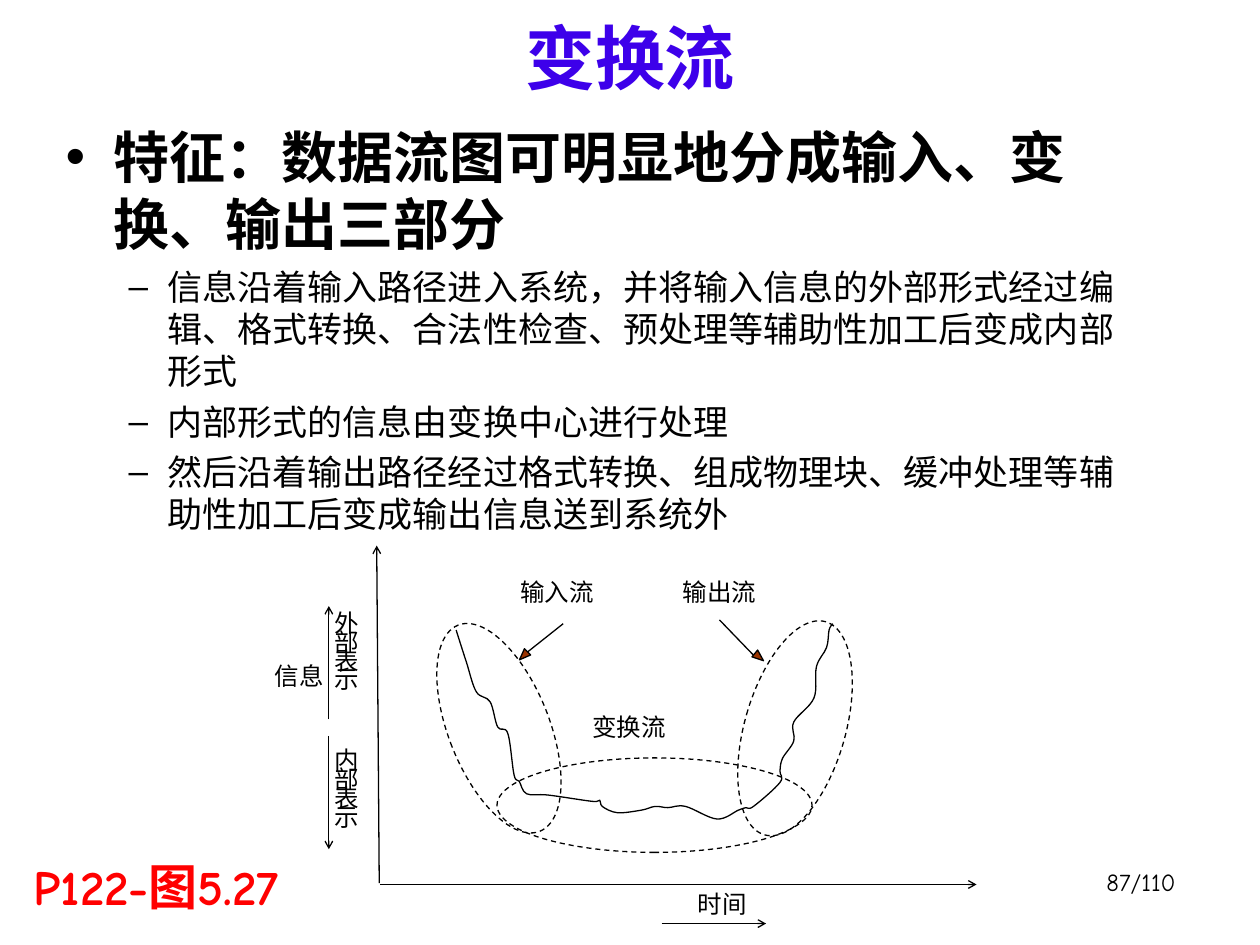
from dataclasses import dataclass

from lxml import etree
from pptx import Presentation
from pptx import util as u
from pptx.dml.color import RGBColor
from pptx.enum import dml, shapes, text
from pptx.oxml import ns

BLACK = RGBColor(0x00, 0x00, 0x00)
RED = RGBColor(0xFF, 0x00, 0x00)
VIOLET = RGBColor(0x3D, 0x00, 0xEA)
BROWN = RGBColor(0x99, 0x33, 0x00)
COMIC, TIMES = "Comic Neue", "Times New Roman"
ALIGN = text.PP_ALIGN


@dataclass(frozen=True)
class Label:
    lines: str
    frame: tuple[float, float, float, float]
    align: ALIGN = ALIGN.JUSTIFY
    spacing: float = 1.0
    size: float = 14
    font: str = TIMES
    color: RGBColor = BLACK
    bold: bool = False


@dataclass(frozen=True)
class Stroke:
    start: tuple[float, float]
    end: tuple[float, float]
    arrow: bool = True


@dataclass(frozen=True)
class Outline:
    kind: shapes.MSO_SHAPE
    frame: tuple[float, float, float, float]
    rotation: float
    fill: RGBColor | None = None


@dataclass(frozen=True)
class Item:
    words: str
    level: int
    size: float
    bold: bool
    before: float
    margin: float
    indent: float


TIGHT = 0.64
LABELS = [
    Label("P122-图5.27", (0.17, 6.75, 5.92, 0.75), ALIGN.LEFT, 1.0, 28, COMIC, RED, True),
    Label("87/110", (7.35, 6.83, 2.08, 0.5), ALIGN.RIGHT, font=COMIC),
    Label("外\n部\n表\n示", (2.56, 4.85, 0.61, 1.24), spacing=TIGHT),
    Label("内\n部\n表\n示", (2.56, 5.94, 0.61, 0.97), spacing=TIGHT),
    Label("信息", (2.07, 5.27, 0.61, 0.97), ALIGN.CENTER, TIGHT),
    Label("时间", (5.44, 7.08, 0.9, 0.42), spacing=TIGHT),
    Label("变换流", (4.6, 5.6, 1.09, 0.57)),
    Label("输入流", (4.03, 4.53, 1.09, 0.57)),
    Label("输出流", (5.32, 4.53, 1.09, 0.57)),
]
STROKES = [
    Stroke((3.02, 7.02), (7.75, 7.02)),
    Stroke((3.01, 7.01), (2.99, 4.33)),
    Stroke((2.61, 5.71), (2.61, 4.81)),
    Stroke((2.61, 5.84), (2.61, 6.74)),
    Stroke((5.25, 7.33), (6.08, 7.33)),
    Stroke((4.47, 4.95), (4.18, 5.18), False),
    Stroke((5.71, 4.92), (5.99, 5.21), False),
]
OVAL, TRIANGLE = shapes.MSO_SHAPE.OVAL, shapes.MSO_SHAPE.ISOSCELES_TRIANGLE
OUTLINES = [
    Outline(OVAL, (4.82, 5.14, 0.75, 2.5), 270),
    Outline(OVAL, (3.56, 4.9, 0.8, 1.76), 338.4),
    Outline(OVAL, (5.91, 4.9, 0.8, 1.76), 16),
    Outline(TRIANGLE, (4.12, 5.16, 0.07, 0.09), 225.2, BROWN),
    Outline(TRIANGLE, (5.99, 5.17, 0.07, 0.09), 129.9, BROWN),
]
FLOW = [
    (3.62, 5), (3.7, 5.25), (3.78, 5.49), (3.89, 5.57), (3.95, 5.77), (4.03, 5.82),
    (4.08, 6.15), (4.12, 6.2), (4.18, 6.3), (4.35, 6.31), (4.7, 6.36), (4.76, 6.35),
    (4.78, 6.4), (4.9, 6.45), (5.09, 6.43), (5.2, 6.4), (5.3, 6.41), (5.44, 6.4),
    (5.69, 6.5), (5.86, 6.43), (5.92, 6.41), (5.98, 6.4), (6.19, 6.21), (6.19, 6.12),
    (6.21, 6.02), (6.3, 5.88), (6.3, 5.73), (6.46, 5.54), (6.48, 5.29), (6.56, 5.14),
    (6.58, 5), (6.61, 4.95),
]
UNITS_PER_INCH = 1000
ITEMS = [
    Item("特征：数据流图可明显地分成输入、变换、输出三部分", 0, 32, True, 0, 0.38, -0.38),
    *(Item(words, 1, 20, False, 5, 0.81, -0.31) for words in (
        "信息沿着输入路径进入系统，并将输入信息的外部形式经过编辑、格式转换、"
        "合法性检查、预处理等辅助性加工后变成内部形式",
        "内部形式的信息由变换中心进行处理",
        "然后沿着输出路径经过格式转换、组成物理块、缓冲处理等"
        "辅助性加工后变成输出信息送到系统外",
    )),
]


def place(box, frame: tuple[float, float, float, float]) -> None:
    box.left, box.top, box.width, box.height = map(u.Inches, frame)


def add_run(para, words: str, size: float, font: str, color: RGBColor, bold: bool) -> None:
    span = para.add_run()
    span.text = words
    span.font.size = u.Pt(size)
    span.font.name = font
    span.font.bold = bold
    span.font.color.rgb = color


def ink(line) -> None:
    line.color.rgb = BLACK
    line.width = u.Pt(0.75)


def fill_title(title) -> None:
    place(title, (0.5, 0, 9, 0.83))
    frame = title.text_frame
    frame.auto_size = text.MSO_AUTO_SIZE.NONE
    frame.vertical_anchor = text.MSO_ANCHOR.BOTTOM
    para = frame.paragraphs[0]
    para.alignment = ALIGN.CENTER
    add_run(para, "变换流", 40, COMIC, VIOLET, True)


def fill_body(body) -> None:
    place(body, (0.42, 0.92, 8.67, 5.5))
    frame = body.text_frame
    frame.auto_size = text.MSO_AUTO_SIZE.NONE
    for index, item in enumerate(ITEMS):
        para = frame.add_paragraph() if index else frame.paragraphs[0]
        para.level = item.level
        para.space_before = u.Pt(item.before)
        properties = para._p.get_or_add_pPr()
        properties.set("marL", str(u.Inches(item.margin)))
        properties.set("indent", str(u.Inches(item.indent)))
        properties.set("hangingPunct", "0")
        add_run(para, item.words, item.size, COMIC, BLACK, item.bold)


def add_label(page, label: Label) -> None:
    frame = page.shapes.add_textbox(*map(u.Inches, label.frame)).text_frame
    frame.word_wrap = True
    for index, words in enumerate(label.lines.split("\n")):
        para = frame.add_paragraph() if index else frame.paragraphs[0]
        para.alignment = label.align
        para.line_spacing = label.spacing
        add_run(para, words, label.size, label.font, label.color, label.bold)


def add_stroke(page, stroke: Stroke) -> None:
    line = page.shapes.add_connector(
        shapes.MSO_CONNECTOR.STRAIGHT, *map(u.Inches, stroke.start + stroke.end))
    ink(line.line)
    if stroke.arrow:
        etree.SubElement(line.line._get_or_add_ln(), ns.qn("a:tailEnd"),
                         type="arrow", w="sm", len="sm")
    etree.SubElement(line._element.spPr, ns.qn("a:effectLst"))


def add_outline(page, outline: Outline) -> None:
    shape = page.shapes.add_shape(outline.kind, *map(u.Inches, outline.frame))
    shape.rotation = outline.rotation
    shape.shadow.inherit = False
    ink(shape.line)
    if outline.fill is None:
        shape.fill.background()
        shape.line.dash_style = dml.MSO_LINE.DASH
    else:
        shape.fill.solid()
        shape.fill.fore_color.rgb = outline.fill


def bend(flow) -> None:
    """Turn the straight segments into Bezier curves through the same points."""
    nodes = list(flow._element.iter(ns.qn("a:pt")))
    points = [(int(node.get("x")), int(node.get("y"))) for node in nodes]
    padded = [points[0], *points, points[-1]]
    for node, a, b, c, d in zip(nodes[1:], padded, padded[1:], padded[2:], padded[3:]):
        segment = node.getparent()
        curve = etree.Element(ns.qn("a:cubicBezTo"))
        leaving = [q + (r - p) / 6 for p, q, r in zip(a, b, c)]
        arriving = [r - (s - q) / 6 for q, r, s in zip(b, c, d)]
        for x, y in (leaving, arriving, c):
            etree.SubElement(curve, ns.qn("a:pt"), x=str(round(x)), y=str(round(y)))
        segment.getparent().replace(segment, curve)


def add_flow(page) -> None:
    points = [(round(x * UNITS_PER_INCH), round(y * UNITS_PER_INCH)) for x, y in FLOW]
    builder = page.shapes.build_freeform(*points[0], scale=u.Inches(1) / UNITS_PER_INCH)
    builder.add_line_segments(points[1:], close=False)
    flow = builder.convert_to_shape()
    bend(flow)
    flow.shadow.inherit = False
    flow.fill.background()
    ink(flow.line)


def main() -> None:
    deck = Presentation()
    deck.slide_width, deck.slide_height = u.Inches(10), u.Inches(7.5)
    page = deck.slides.add_slide(deck.slide_layouts[1])
    fill_title(page.shapes.title)
    fill_body(page.placeholders[1])
    for label in LABELS:
        add_label(page, label)
    for stroke in STROKES:
        add_stroke(page, stroke)
    for outline in OUTLINES:
        add_outline(page, outline)
    add_flow(page)
    deck.save("out.pptx")


if __name__ == "__main__":
    main()
